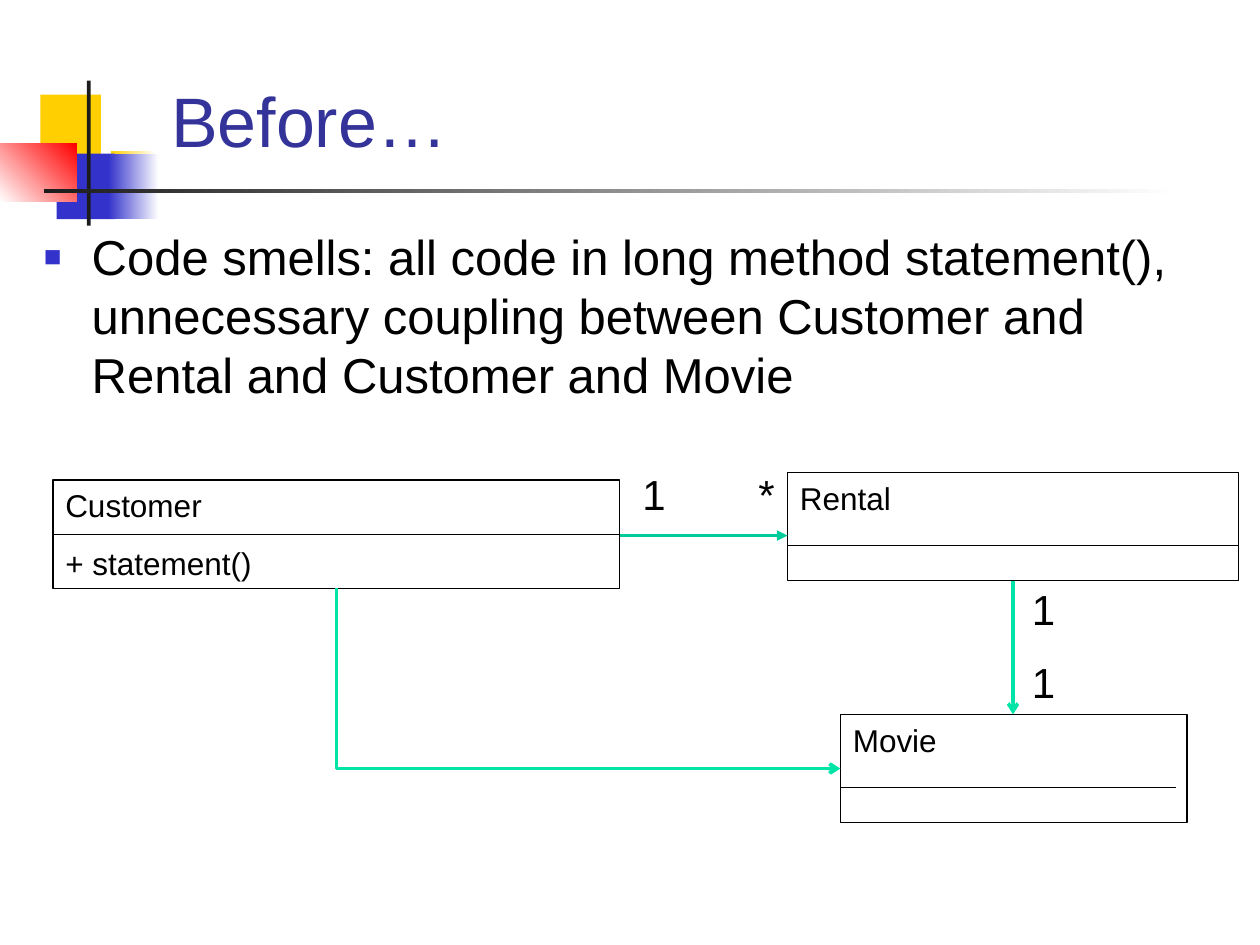
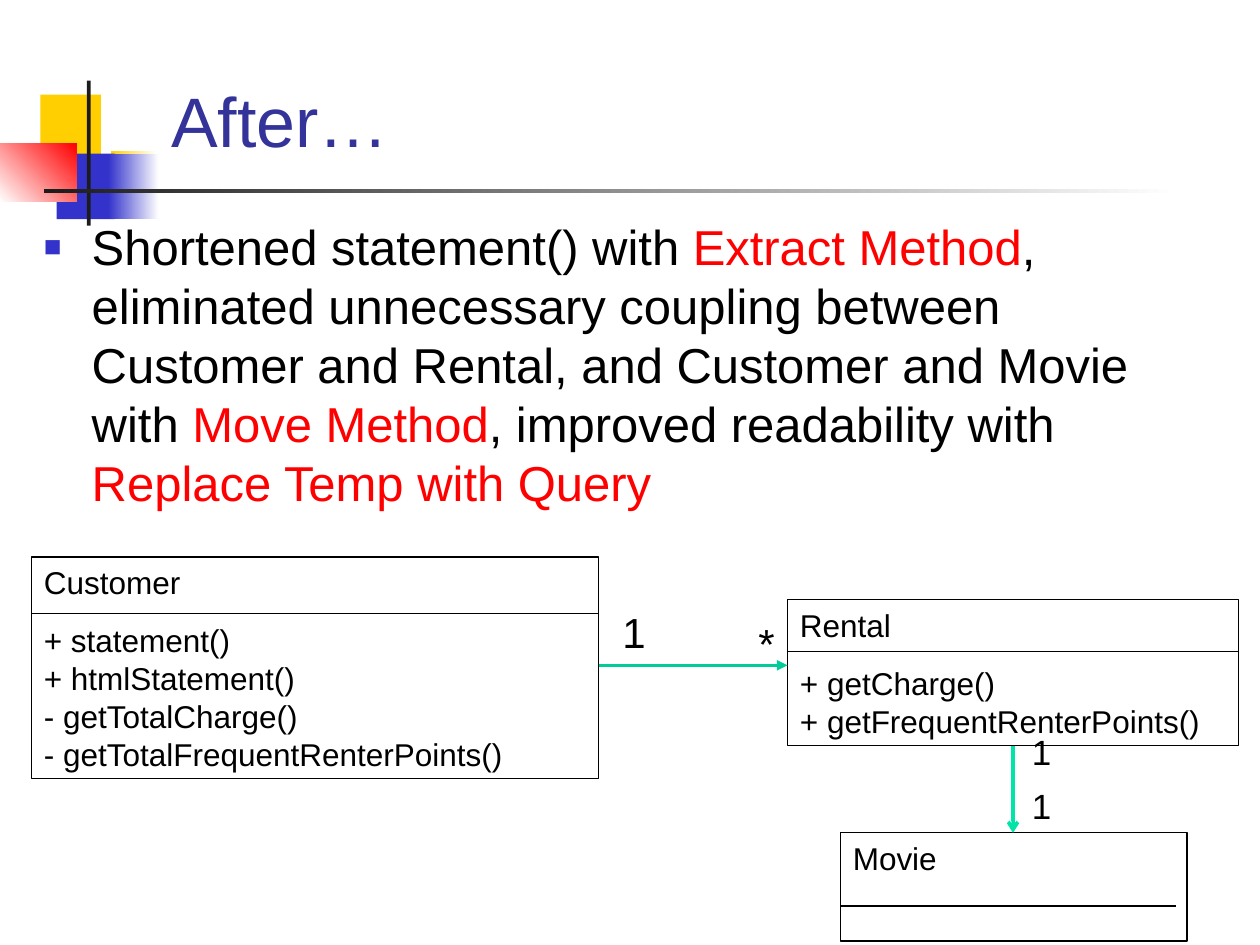
from dataclasses import dataclass

from lxml.etree import SubElement
from pptx import Presentation
from pptx.dml.color import RGBColor as RGB
from pptx.enum.shapes import MSO_CONNECTOR as Link, MSO_SHAPE as Preset
from pptx.enum.text import MSO_ANCHOR as Anchor
from pptx.oxml.ns import qn
from pptx.util import Inches, Pt


@dataclass(frozen=True)
class Theme:
    font: str = "Arial"
    ink: str = "000000"
    title: str = "333399"
    highlight: str = "FF0000"
    paper: str = "FFFFFF"
    gold: str = "FFCF01"
    blue: str = "3333CC"
    red: str = "FF0000"
    bar: str = "1C1C1C"
    association: str = "00CC99"
    dependency: str = "00E4A8"
    title_size: int = 40
    body_size: int = 28
    label_size: int = 24
    small_label_size: int = 20
    class_size: int = 18
    line_pitch: float = 1.205
    outline: float = 0.75
    arrow: float = 2


THEME = Theme()

# left, top, width, height, colours (two make a gradient), gradient angle
DECORATION = [
    (0.32, 0.75, 0.48, 0.52, [THEME.gold], 0),
    (0.88, 1.2, 0.36, 0.52, [THEME.gold, THEME.paper], 0),
    (0.45, 1.22, 0.46, 0.52, [THEME.blue], 0),
    (0.86, 1.22, 0.4, 0.52, [THEME.blue, THEME.paper], 0),
    (0, 1.14, 0.61, 0.46, [THEME.paper, THEME.red], 45),
    (0.69, 0.64, 0.03, 1.15, [THEME.bar], 0),
    (0.35, 1.5, 9, 0.03, [THEME.bar, THEME.paper], 0),
]


def color(hex_code):
    return RGB.from_string(hex_code)


def add_rect(slide, left, top, width, height):
    rect = slide.shapes.add_shape(
        Preset.RECTANGLE, Inches(left), Inches(top), Inches(width), Inches(height))
    rect.shadow.inherit = False
    return rect


def add_decoration(slide):
    for left, top, width, height, colors, angle in DECORATION:
        block = add_rect(slide, left, top, width, height)
        block.line.fill.background()
        if len(colors) == 1:
            block.fill.solid()
            block.fill.fore_color.rgb = color(colors[0])
            continue
        block.fill.gradient()
        block.fill.gradient_angle = angle
        for stop, hex_code in zip(block.fill.gradient_stops, colors):
            stop.color.rgb = color(hex_code)


def style(paragraph, size, hex_code=THEME.ink):
    paragraph.line_spacing = Pt(size * THEME.line_pitch)
    for run in paragraph.runs:
        run.font.name = THEME.font
        run.font.size = Pt(size)
        run.font.color.rgb = color(hex_code)


def add_text_frame(slide, left, top, width, height, wrap=True):
    frame = slide.shapes.add_textbox(
        Inches(left), Inches(top), Inches(width), Inches(height)).text_frame
    frame.word_wrap = wrap
    return frame


def add_title(slide, title):
    frame = add_text_frame(slide, 1.26, 0.23, 8.52, 1.1)
    frame.vertical_anchor = Anchor.BOTTOM
    frame.text = title
    style(frame.paragraphs[0], THEME.title_size, THEME.title)


def add_square_bullet(paragraph):
    props = paragraph._p.get_or_add_pPr()
    indent = Inches(0.38)
    props.set("marL", str(indent))
    props.set("indent", str(-indent))
    bullet_color = SubElement(props, qn("a:buClr"))
    SubElement(bullet_color, qn("a:srgbClr"), val=THEME.blue)
    SubElement(props, qn("a:buSzPct"), val="60000")
    SubElement(props, qn("a:buFont"), typeface=THEME.font)
    SubElement(props, qn("a:buChar"), char="■")


def add_summary(slide, top, *segments):
    """Add the bulleted sentence; every second segment is highlighted."""
    paragraph = add_text_frame(slide, 0.25, top, 9.54, 4.96).paragraphs[0]
    add_square_bullet(paragraph)
    for segment in segments:
        paragraph.add_run().text = segment
    style(paragraph, THEME.body_size)
    for run in paragraph.runs[1::2]:
        run.font.color.rgb = color(THEME.highlight)


def add_line(slide, start, end, hex_code=THEME.ink, width=THEME.outline,
             head=None, kind=Link.STRAIGHT):
    line = slide.shapes.add_connector(kind, *map(Inches, start + end))
    line.line.color.rgb = color(hex_code)
    line.line.width = Pt(width)
    if head:
        SubElement(line.line._get_or_add_ln(), qn("a:tailEnd"), type=head)
    SubElement(line._element.spPr, qn("a:effectLst"))
    return line


def add_association(slide, start, end):
    add_line(slide, start, end, THEME.association, THEME.arrow, "triangle")


def add_dependency(slide, start, end, kind=Link.STRAIGHT):
    return add_line(slide, start, end, THEME.dependency, THEME.arrow, "arrow", kind)


def add_corner_dependency(slide, start, end):
    """Arrow that runs down from start, then right to end."""
    arrow = add_dependency(slide, start, end, Link.ELBOW)
    across, down = end[0] - start[0], end[1] - start[1]
    arrow.left = Inches((start[0] + end[0] - down) / 2)
    arrow.top = Inches((start[1] + end[1] - across) / 2)
    arrow.width, arrow.height = Inches(down), Inches(across)
    properties = arrow._element.spPr
    frame = properties.find(qn("a:xfrm"))
    frame.set("rot", str(270 * 60000))
    frame.set("flipH", "1")
    properties.find(qn("a:prstGeom")).set("prst", "bentConnector2")


def add_class(slide, left, top, width, height, divider, name, methods=(),
              divider_width=None):
    box = add_rect(slide, left, top, width, height)
    box.fill.background()
    box.line.color.rgb = color(THEME.ink)
    box.line.width = Pt(THEME.outline)
    frame = box.text_frame
    frame.word_wrap = True
    frame.vertical_anchor = Anchor.TOP
    frame.text = name
    if methods:
        frame.add_paragraph().text = "\v".join(methods)
        frame.paragraphs[1].space_before = Pt(11.2)
    for paragraph in frame.paragraphs:
        paragraph.alignment = 1
        style(paragraph, THEME.class_size)
    add_line(slide, (left, divider), (left + (divider_width or width), divider))


def add_movie(slide, top):
    add_class(slide, 6.67, top, 2.75, 0.86, top + 0.58, "Movie", divider_width=2.66)


def add_multiplicity(slide, left, top, mark, size=THEME.label_size):
    frame = add_text_frame(slide, left, top, 0.38, 0.5, wrap=False)
    frame.text = mark
    style(frame.paragraphs[0], size)


def add_slide(deck, title):
    slide = deck.slides.add_slide(deck.slide_layouts[6])
    add_decoration(slide)
    add_title(slide, title)
    return slide


def add_before(deck):
    slide = add_slide(deck, "Before…")
    add_summary(slide, 1.75,
                "Code smells: all code in long method statement(), unnecessary "
                "coupling between Customer and Rental and Customer and Movie")
    add_movie(slide, 5.67)
    add_class(slide, 0.42, 3.81, 4.5, 0.86, 4.24, "Customer", ["+ statement()"])
    add_class(slide, 6.25, 3.75, 3.58, 0.86, 4.33, "Rental")
    add_association(slide, (4.92, 4.25), (6.25, 4.25))
    add_dependency(slide, (8.04, 4.61), (8.04, 5.67))
    add_corner_dependency(slide, (2.67, 4.67), (6.67, 6.1))
    for left, top, mark in [(5, 3.67, "1"), (5.92, 3.67, "*"),
                            (8.09, 4.58, "1"), (8.09, 5.16, "1")]:
        add_multiplicity(slide, left, top, mark)


def add_after(deck):
    slide = add_slide(deck, "After…")
    add_summary(slide, 1.67,
                "Shortened statement() with ", "Extract Method",
                ", eliminated unnecessary coupling between Customer and Rental, "
                "and Customer and Movie with ", "Move Method",
                ", improved readability with ", "Replace Temp with Query")
    add_movie(slide, 6.61)
    add_class(slide, 0.25, 4.42, 4.5, 1.76, 4.87, "Customer",
              ["+ statement()", "+ htmlStatement()", "- getTotalCharge()",
               "- getTotalFrequentRenterPoints()"])
    add_class(slide, 6.25, 4.76, 3.58, 1.16, 5.17, "Rental",
              ["+ getCharge()", "+ getFrequentRenterPoints()"])
    add_association(slide, (4.75, 5.28), (6.25, 5.28))
    add_dependency(slide, (8.04, 5.92), (8.04, 6.61))
    add_multiplicity(slide, 4.84, 4.76, "1")
    add_multiplicity(slide, 5.92, 4.85, "*")
    for top in (5.75, 6.18):
        add_multiplicity(slide, 8.09, top, "1", THEME.small_label_size)


def main():
    deck = Presentation()
    deck.slide_width, deck.slide_height = Inches(10), Inches(7.5)
    add_before(deck)
    add_after(deck)
    deck.save("out.pptx")


if __name__ == "__main__":
    main()
